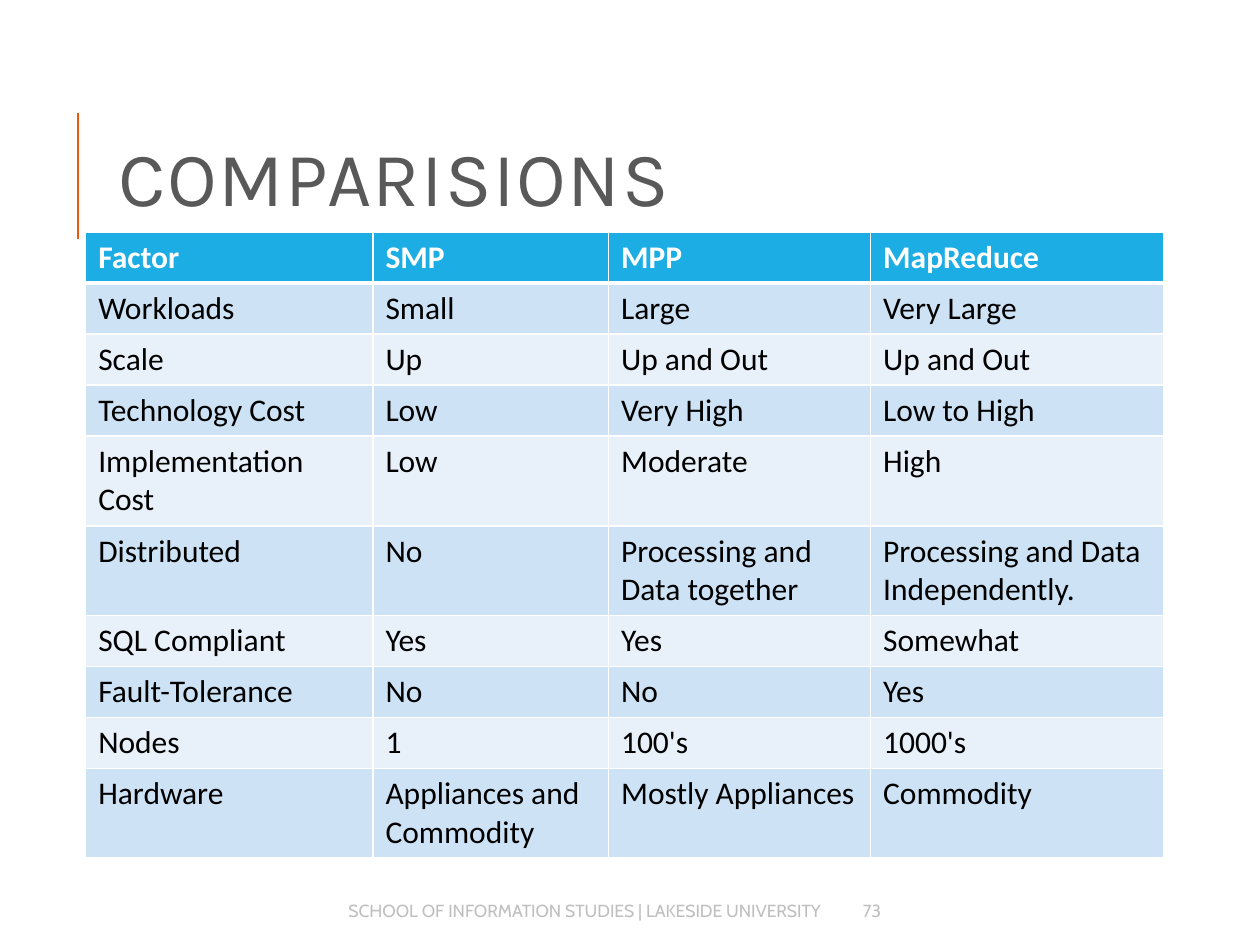
from lxml import etree
from pptx import Presentation
from pptx.dml.color import RGBColor
from pptx.enum.shapes import MSO_CONNECTOR
from pptx.enum.text import MSO_ANCHOR, PP_ALIGN
from pptx.oxml.ns import qn
from pptx.util import Inches, Pt

ROWS = [
    ("Factor", "SMP", "MPP", "MapReduce"),
    ("Workloads", "Small", "Large", "Very Large"),
    ("Scale", "Up", "Up and Out", "Up and Out"),
    ("Technology Cost", "Low", "Very High", "Low to High"),
    ("Implementation Cost", "Low", "Moderate", "High"),
    ("Distributed", "No", "Processing and Data together",
     "Processing and Data Independently."),
    ("SQL Compliant", "Yes", "Yes", "Somewhat"),
    ("Fault-Tolerance", "No", "No", "Yes"),
    ("Nodes", "1", "100's", "1000's"),
    ("Hardware", "Appliances and Commodity", "Mostly Appliances", "Commodity"),
]
COL_WIDTHS = [2.28, 1.87, 2.08, 2.33]
ROW_HEIGHT = 0.4


def rgb(color):
    return RGBColor.from_string(color)


def add_run(p, text, font, size, color, bold=False):
    r = p.add_run()
    r.text = text
    r.font.name = font
    r.font.size = Pt(size)
    r.font.bold = bold
    r.font.color.rgb = rgb(color)
    return r


prs = Presentation()
prs.slide_width, prs.slide_height = Inches(10), Inches(7.5)
s = prs.slides.add_slide(prs.slide_layouts[5])

# Accent line beside the title
line = s.shapes.add_connector(MSO_CONNECTOR.STRAIGHT, Inches(0.62), Inches(1.9),
                              Inches(0.62), Inches(0.9))
line.line.color.rgb = rgb("EE5612")
line.line.width = Pt(1.5)
etree.SubElement(line._element.spPr, qn("a:effectLst"))

# Title
title = s.shapes.title
title.left, title.top = Inches(0.84), Inches(0.64)
title.width, title.height = Inches(7.97), Inches(1.64)
tf = title.text_frame
tf.vertical_anchor = MSO_ANCHOR.MIDDLE
p = tf.paragraphs[0]
p.alignment = PP_ALIGN.LEFT
p.line_spacing = 0.8
r = add_run(p, "COMPARISIONS", "Karla", 44, "595959")
r.font._element.set("spc", "100")

# Comparison table; its default style supplies the thin white borders
table = s.shapes.add_table(len(ROWS), len(COL_WIDTHS), Inches(0.68), Inches(1.84),
                           Inches(sum(COL_WIDTHS)),
                           Inches(ROW_HEIGHT * len(ROWS))).table
for column, width in zip(table.columns, COL_WIDTHS):
    column.width = Inches(width)
for i, row in enumerate(ROWS):
    table.rows[i].height = Inches(ROW_HEIGHT)
    header = i == 0
    fill = "1CADE4" if header else ("E8F1FA", "CDE3F5")[i % 2]
    for j, text in enumerate(row):
        cell = table.cell(i, j)
        cell.fill.solid()
        cell.fill.fore_color.rgb = rgb(fill)
        add_run(cell.text_frame.paragraphs[0], text, "Calibri", 18,
                "FFFFFF" if header else "000000", bold=header)
        if header:
            border = etree.Element(qn("a:lnB"), w=str(Pt(3)))
            solid = etree.SubElement(border, qn("a:solidFill"))
            etree.SubElement(solid, qn("a:srgbClr"), val="FFFFFF")
            cell._tc.get_or_add_tcPr().insert(0, border)

# Footer and slide number
for text, left, width, align in [
    ("SCHOOL OF INFORMATION STUDIES | LAKESIDE UNIVERSITY", 1.89, 4.72, PP_ALIGN.RIGHT),
    ("73", 6.75, 0.91, PP_ALIGN.LEFT),
]:
    tf = s.shapes.add_textbox(Inches(left), Inches(7.08), Inches(width),
                              Inches(0.3)).text_frame
    tf.word_wrap = True
    tf.vertical_anchor = MSO_ANCHOR.MIDDLE
    p = tf.paragraphs[0]
    p.alignment = align
    add_run(p, text, "Cabin", 10, "BFBFBF")

prs.save("out.pptx")
